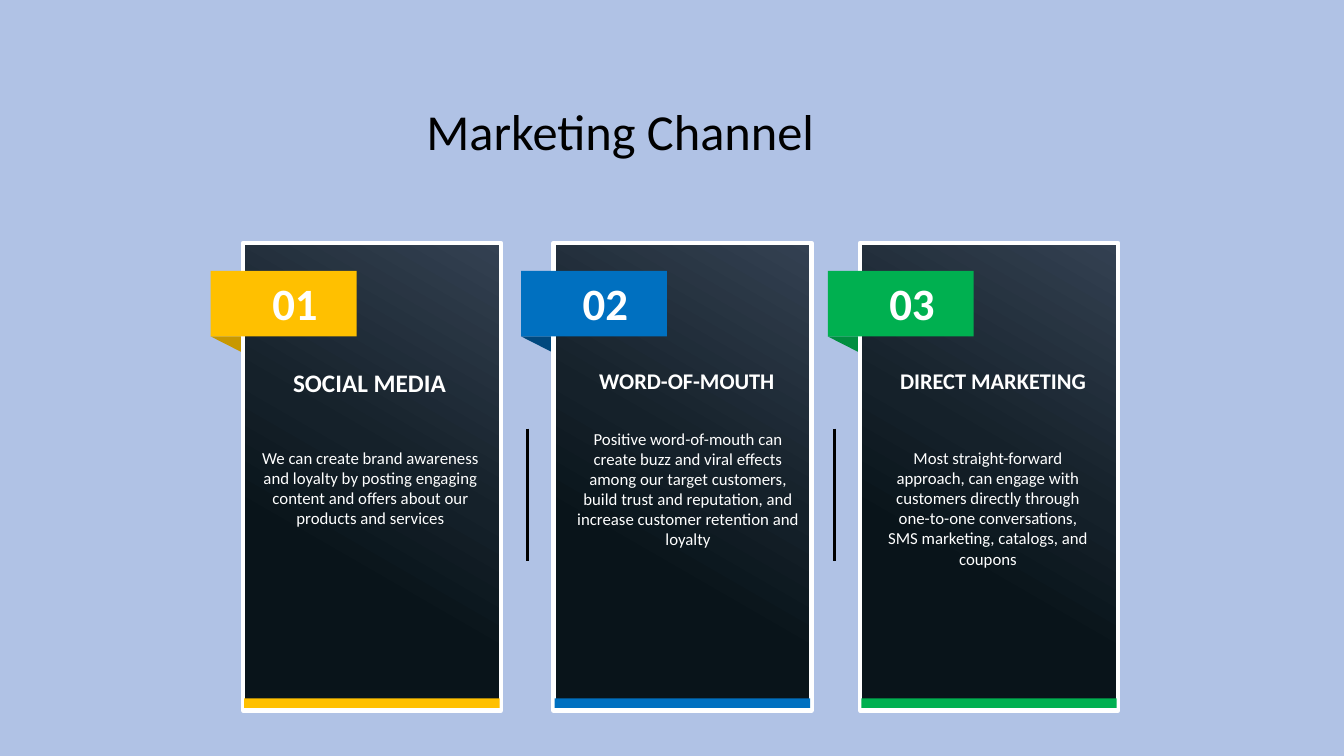
from copy import deepcopy
from dataclasses import dataclass

from pptx import Presentation
from pptx.dml.color import RGBColor
from pptx.enum.shapes import MSO_CONNECTOR, MSO_SHAPE
from pptx.enum.text import MSO_ANCHOR, MSO_AUTO_SIZE, PP_ALIGN
from pptx.oxml.ns import qn
from pptx.oxml.xmlchemy import OxmlElement
from pptx.util import Inches, Pt


@dataclass(frozen=True)
class Theme:
    """Colours, font and type sizes of the slide."""
    font: str = "Calibri"
    background: str = "B0C2E5"
    dark: str = "000000"
    light: str = "FFFFFF"
    card_stops: tuple = ((0.32, "09141A"), (0.55, "15212A"), (1, "344152"))
    card_angle: int = 60
    title: int = 36
    number: int = 32
    body: int = 12


@dataclass(frozen=True)
class Box:
    """A rectangle whose inner boxes are placed by percentages of its size."""
    x: float
    y: float
    w: float
    h: float

    def inner(self, x, y, w, h):
        """Return the inner box at the given percentages."""
        return Box(self.x + self.w * x / 100, self.y + self.h * y / 100,
                   self.w * w / 100, self.h * h / 100)

    def emu(self):
        """Return left, top, width and height as lengths."""
        return [Inches(v) for v in (self.x, self.y, self.w, self.h)]


@dataclass(frozen=True)
class Channel:
    """Wording, colours and text places of one card."""
    left: float
    colour: str
    fold: str
    heading: str
    heading_size: int
    heading_span: tuple
    body: str
    body_top: float
    body_span: tuple


T = Theme()
SLIDE = Box(0, 0, 13.33, 7.5)
CHANNELS = (
    Channel(18.08, "FFC000", "C89800", "SOCIAL MEDIA", 18, (6.6, 84.8),
            "We can create brand awareness and loyalty by posting engaging "
            "content and offers about our products and services",
            42.7, (3.1, 92.6)),
    Channel(41.18, "0070C0", "00487E", "WORD-OF-MOUTH", 16, (-2.8, 109),
            "Positive word-of-mouth can create buzz and viral effects among our "
            "target customers, build trust and reputation, and increase customer "
            "retention and loyalty",
            38.6, (5.1, 94.1)),
    Channel(63.99, "00B050", "008E40", "DIRECT MARKETING", 16, (3.9, 95.3),
            "Most straight-forward approach, can engage with customers directly "
            "through one-to-one conversations, SMS marketing, catalogs, and coupons",
            42.7, (4.7, 89.8)),
)


def rgb(value):
    """Turn a hex string into a colour."""
    return RGBColor.from_string(value)


def add_block(s, box, colour, kind=MSO_SHAPE.RECTANGLE):
    """Add a plain filled shape."""
    sp = s.shapes.add_shape(kind, *box.emu())
    sp.shadow.inherit = False
    sp.fill.solid()
    sp.fill.fore_color.rgb = rgb(colour)
    sp.line.fill.background()
    return sp


def set_text(tf, text, size, colour, align, bold=False):
    """Write one formatted paragraph into a text frame."""
    tf.text = text
    p = tf.paragraphs[0]
    p.alignment = align
    p.font.name, p.font.size, p.font.bold = T.font, Pt(size), bold
    p.font.color.rgb = rgb(colour)


def add_label(s, box, text, size, bold=False):
    """Add centred light text that wraps in its box."""
    tf = s.shapes.add_textbox(*box.emu()).text_frame
    tf.word_wrap = True
    set_text(tf, text, size, T.light, PP_ALIGN.CENTER, bold)


def add_panel(s, box):
    """Add the outlined gradient panel of a card."""
    sp = add_block(s, box, T.dark)
    sp.line.color.rgb = rgb(T.light)
    sp.line.width = Pt(3)
    sp.fill.gradient()
    sp.fill.gradient_angle = T.card_angle
    stops = next(sp._element.spPr.iter(qn("a:gsLst")))
    stops.append(deepcopy(stops[0]))
    for stop, (position, colour) in zip(sp.fill.gradient_stops, T.card_stops):
        stop.position = position
        stop.color.rgb = rgb(colour)


def add_divider(s, box):
    """Add a vertical line down the left edge of the box."""
    x, y, _, h = box.emu()
    line = s.shapes.add_connector(MSO_CONNECTOR.STRAIGHT, x, y, x, y + h)
    line.line.color.rgb = rgb(T.dark)
    line.line.width = Pt(2)
    line._element.spPr.append(OxmlElement("a:effectLst"))


def add_title(s, box, text):
    """Move and format the title placeholder."""
    sp = s.shapes.title
    sp.left, sp.top, sp.width, sp.height = box.emu()
    tf = sp.text_frame
    tf.word_wrap = False
    tf.auto_size = MSO_AUTO_SIZE.NONE
    tf.vertical_anchor = MSO_ANCHOR.TOP
    set_text(tf, text, T.title, T.dark, PP_ALIGN.LEFT)


def add_card(s, box, number, channel):
    """Add a numbered card with its ribbon, texts and base bar."""
    fold = add_block(s, box.inner(-12.5, 20, 12.5, 3.5), channel.fold,
                     MSO_SHAPE.RIGHT_TRIANGLE)
    fold.rotation = 180
    add_panel(s, box)
    add_block(s, box.inner(-12.5, 6, 56.5, 14), channel.colour)
    x, w = channel.heading_span
    add_label(s, box.inner(x, 25.6, w, 8.5), channel.heading, channel.heading_size, True)
    x, w = channel.body_span
    add_label(s, box.inner(x, channel.body_top, w, 28), channel.body, T.body)
    add_label(s, box.inner(-3.1, 6, 46.5, 14), f"{number:02}", T.number, True)
    add_block(s, box.inner(0.5, 97.4, 99, 2), channel.colour)
    if number > 1:
        add_divider(s, box.inner(-10, 39.7, 0, 28.3))


def main():
    """Build and save the slide."""
    prs = Presentation()
    prs.slide_width, prs.slide_height = Inches(SLIDE.w), Inches(SLIDE.h)
    s = prs.slides.add_slide(prs.slide_layouts[5])
    s.background.fill.solid()
    s.background.fill.fore_color.rgb = rgb(T.background)
    add_title(s, SLIDE.inner(30.98, 12.53, 30.68, 9.47), "Marketing Channel")
    for number, channel in enumerate(CHANNELS, 1):
        add_card(s, SLIDE.inner(channel.left, 32.13, 19.2, 61.87), number, channel)
    prs.save("out.pptx")


if __name__ == "__main__":
    main()
